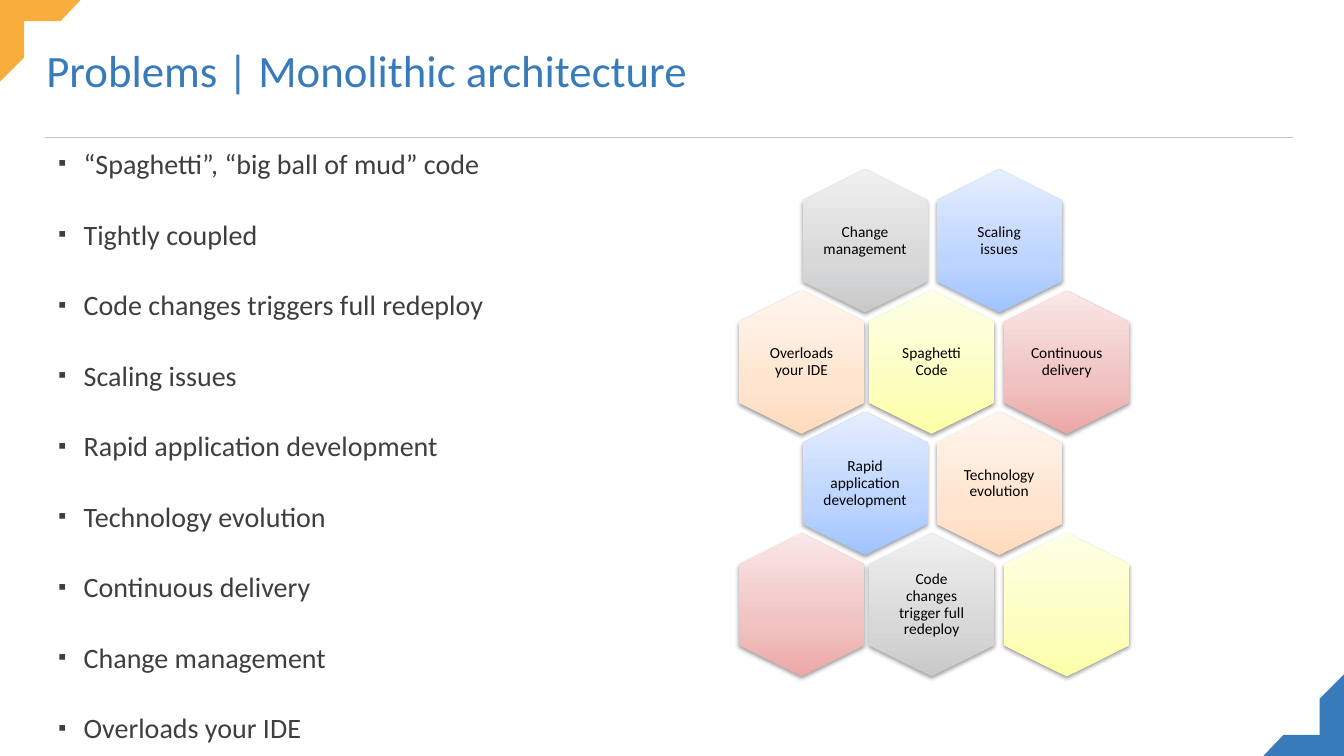
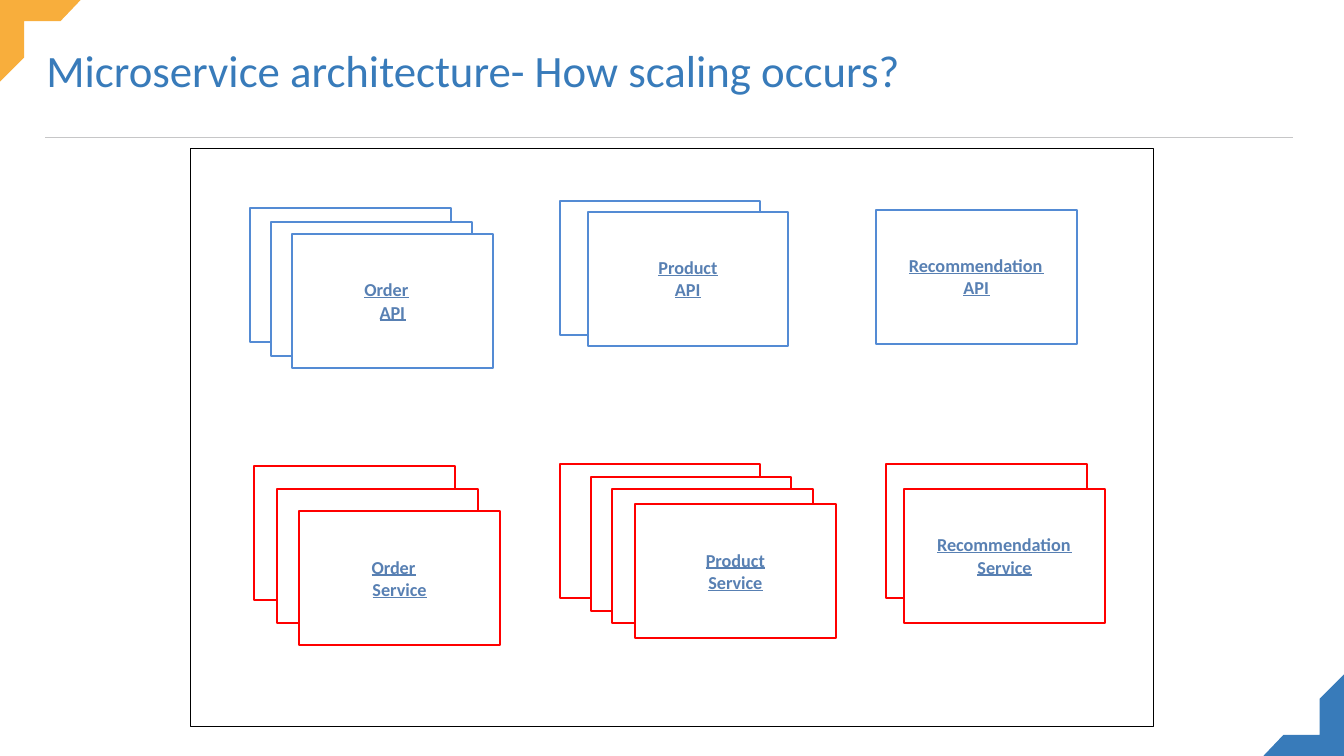
from lxml import etree
from pptx import Presentation
from pptx import util as u
from pptx.dml.color import RGBColor
from pptx.enum import shapes, text
from pptx.oxml import parse_xml
from pptx.oxml.ns import qn

NS = "http://schemas.openxmlformats.org/drawingml/2006/main"
WIDE, HIGH = 13.33, 7.5
FONT = "Calibri"
HUES = {
    "blue": "387BBA", "gold": "F8AE3C", "rule": "C6C6C7", "ink": "3E3D40",
    "black": "000000", "white": "FFFFFF", "label": "5880B3",
    "api": "548BD4", "service": "FF0000",
}
FADES = {
    "gray": ("C8C9CA", "D8D8D9", "F0F0F1"),
    "sky": ("A0C3FF", "BCD4FF", "E5EEFF"),
    "peach": ("FFDBBC", "FFE5D0", "FFF5ED"),
    "lemon": ("FCFFA6", "FDFFC0", "FEFFE7"),
    "rose": ("ECA7A6", "F0C2C1", "FAE7E7"),
}
CORNER = [(0, 0), (0.8, 0), (0.6, 0.21), (0.24, 0.21), (0.24, 0.57), (0, 0.81)]

ISSUES = [
    "“Spaghetti”, “big ball of mud” code",
    "Tightly coupled",
    "Code changes triggers full redeploy",
    "Scaling issues",
    "Rapid application development",
    "Technology evolution",
    "Continuous delivery",
    "Change management",
    "Overloads your IDE",
]
COMB = [
    [("Change management", "gray"), ("Scaling issues", "sky")],
    [("Overloads your IDE", "peach"), ("Spaghetti Code", "lemon"),
     ("Continuous delivery", "rose")],
    [("Rapid application development", "sky"), ("Technology evolution", "peach")],
    [("", "rose"), ("Code changes trigger full redeploy", "gray"), ("", "lemon")],
]
COLUMNS = {2: (8.58, 9.91), 3: (7.95, 9.24, 10.58)}
STACKS = [
    ("Order", "API", "api", [(2.48, 2.06), (2.69, 2.2), (2.9, 2.32)]),
    ("Product", "API", "api", [(5.55, 1.99), (5.83, 2.1)]),
    ("Recommendation", "API", "api", [(8.69, 2.08)]),
    ("Order", "Service", "service", [(2.52, 4.62), (2.75, 4.85), (2.97, 5.07)]),
    ("Product", "Service", "service",
     [(5.55, 4.6), (5.86, 4.73), (6.07, 4.85), (6.3, 5)]),
    ("Recommendation", "Service", "service", [(8.79, 4.6), (8.97, 4.85)]),
]
WIDTHS = {"Order": 0.44, "Product": 0.59, "Recommendation": 1.34,
          "API": 0.26, "Service": 0.54}
SHIFTS = {"Order": -0.06}


def color(name):
    return RGBColor.from_string(HUES[name])


def apply(item, **values):
    for key, value in values.items():
        setattr(item, key, value)


def style(para, size, hue, bold=False, **values):
    apply(para, **values)
    apply(para.font, name=FONT, size=u.Pt(size), bold=bold)
    para.font.color.rgb = color(hue)


def pad(frame, gap):
    sides = ("margin_left", "margin_top", "margin_right", "margin_bottom")
    apply(frame, **{side: u.Inches(gap) for side in sides})


def place(item, left, top, width, height):
    apply(item, left=u.Inches(left), top=u.Inches(top),
          width=u.Inches(width), height=u.Inches(height))


def paint(shape, hue):
    shape.shadow.inherit = False
    shape.fill.solid()
    shape.fill.fore_color.rgb = color(hue)
    shape.line.fill.background()
    return shape


def corner(slide, points, hue):
    spots = [(u.Inches(x), u.Inches(y)) for x, y in points]
    pen = slide.shapes.build_freeform(*spots[0])
    pen.add_line_segments(spots[1:], close=True)
    return paint(pen.convert_to_shape(), hue)


def block(slide, spot, size, hue):
    return paint(slide.shapes.add_shape(
        shapes.MSO_SHAPE.RECTANGLE, *map(u.Inches, spot + size)), hue)


def stroke(slide, left, right, y, hue, width):
    line = slide.shapes.add_connector(
        shapes.MSO_CONNECTOR.STRAIGHT,
        *map(u.Inches, (left, y, right, y)))
    line.line.color.rgb = color(hue)
    line.line.width = u.Pt(width)
    etree.SubElement(line.element.spPr, qn("a:effectLst"))
    return line


def brand(deck, slide):
    flip = [(WIDE - x, HIGH - y) for x, y in CORNER]
    parts = [
        block(slide, (0, 0), (WIDE, HIGH), "white"),
        stroke(slide, 0.45, 12.82, 1.36, "rule", 0.5),
        corner(slide, CORNER, "gold"),
        corner(slide, flip, "blue"),
    ]
    master = deck.slide_master
    for part in parts:
        master.shapes.element.append(part.element)
    place(master.placeholders[0], 0.36, 0.33, 12.62, 0.85)


def title(slide, words):
    frame = slide.shapes.title.text_frame
    frame.text = words
    apply(frame, vertical_anchor=text.MSO_ANCHOR.MIDDLE,
          auto_size=text.MSO_AUTO_SIZE.NONE)
    style(frame.paragraphs[0], 32, "blue", alignment=text.PP_ALIGN.LEFT,
          line_spacing=0.7, space_before=u.Pt(0))


def bullet(para):
    props = para._p.get_or_add_pPr()
    props.set("marL", str(u.Inches(0.25)))
    props.set("indent", str(-u.Inches(0.25)))
    tint = etree.SubElement(props, qn("a:buClr"))
    etree.SubElement(tint, qn("a:srgbClr"), val=HUES["ink"])
    etree.SubElement(props, qn("a:buSzPct"), val="80000")
    etree.SubElement(props, qn("a:buFont"), typeface=FONT)
    etree.SubElement(props, qn("a:buChar"), char="▪")


def listing(slide):
    body = slide.placeholders[1]
    place(body, 0.48, 1.37, 6.95, 4.76)
    frame = body.text_frame
    frame.text = "\n".join(ISSUES)
    frame.auto_size = text.MSO_AUTO_SIZE.NONE
    for row, para in enumerate(frame.paragraphs):
        bullet(para)
        style(para, 20, "ink", line_spacing=1.1,
              space_before=u.Pt(24 if row else 0))


def shade(shape, fade):
    stops = "".join(
        f'<a:gs pos="{pos}"><a:srgbClr val="{hue}"/></a:gs>'
        for pos, hue in zip((0, 35000, 100000), FADES[fade]))
    fill = parse_xml(
        f'<a:gradFill xmlns:a="{NS}" rotWithShape="0"><a:gsLst>{stops}</a:gsLst>'
        '<a:lin ang="16200000" scaled="0"/></a:gradFill>')
    glow = parse_xml(
        f'<a:effectLst xmlns:a="{NS}"><a:outerShdw blurRad="{u.Pt(3.1)}" '
        f'dist="{u.Pt(1.6)}" dir="5400000" rotWithShape="0">'
        '<a:srgbClr val="000000"><a:alpha val="38000"/></a:srgbClr>'
        '</a:outerShdw></a:effectLst>')
    shape.line.fill.background()
    props = shape.element.spPr
    props.find(qn("a:prstGeom")).addnext(fill)
    props.append(glow)


def textbox(slide, left, top, width, height, words, gap):
    box = slide.shapes.add_textbox(*map(u.Inches, (left, top, width, height)))
    frame = box.text_frame
    frame.text = words
    pad(frame, gap)
    return frame


def hexagon(slide, x, y, words, fade, gap):
    long, short = 1.42, 1.24
    cell = slide.shapes.add_shape(
        shapes.MSO_SHAPE.HEXAGON, u.Inches(x - long / 2), u.Inches(y - short / 2),
        u.Inches(long), u.Inches(short))
    cell.rotation = 90
    cell.adjustments[0] = 0.25
    shade(cell, fade)
    if not words:
        return
    frame = textbox(slide, x - 0.425, y - 0.49, 0.85, 0.98, words, gap)
    apply(frame, word_wrap=True, vertical_anchor=text.MSO_ANCHOR.MIDDLE)
    style(frame.paragraphs[0], 11, "black", line_spacing=0.9,
          alignment=text.PP_ALIGN.CENTER)


def comb(slide):
    top, bottom = 2.39, 6
    down = (bottom - top) / (len(COMB) - 1)
    for row, cells in enumerate(COMB):
        for col, (words, fade) in enumerate(cells):
            hexagon(slide, COLUMNS[len(cells)][col], top + row * down,
                    words, fade, 0.05 if col else 0)


def card(slide, spot, size, hue, width):
    shape = block(slide, spot, size, "white")
    shape.line.color.rgb = color(hue)
    shape.line.width = u.Pt(width)


def label(slide, x, top, word):
    width = WIDTHS[word]
    left = x + SHIFTS.get(word, 0) - width / 2
    frame = textbox(slide, left, top, width, 0.22, word, 0)
    frame.word_wrap = False
    style(frame.paragraphs[0], 13, "label", bold=True)
    stroke(slide, left, left + width, top + 0.19, "label", 0.88)


def stacks(slide):
    size = (1.99, 1.33)
    card(slide, (1.89, 1.47), (9.55, 5.74), "black", 0.88)
    for name, kind, hue, spots in STACKS:
        for spot in spots:
            card(slide, spot, size, hue, 1.38)
        x, y = (start + span / 2 for start, span in zip(spots[-1], size))
        label(slide, x, y - 0.22, name)
        label(slide, x, y, kind)


def main():
    deck = Presentation()
    apply(deck, slide_width=u.Inches(WIDE), slide_height=u.Inches(HIGH))
    first = deck.slides.add_slide(deck.slide_layouts[1])
    brand(deck, first)
    title(first, "Problems | Monolithic architecture")
    listing(first)
    comb(first)
    second = deck.slides.add_slide(deck.slide_layouts[5])
    title(second, "Microservice architecture- How scaling occurs?")
    stacks(second)
    deck.save("out.pptx")


if __name__ == "__main__":
    main()
